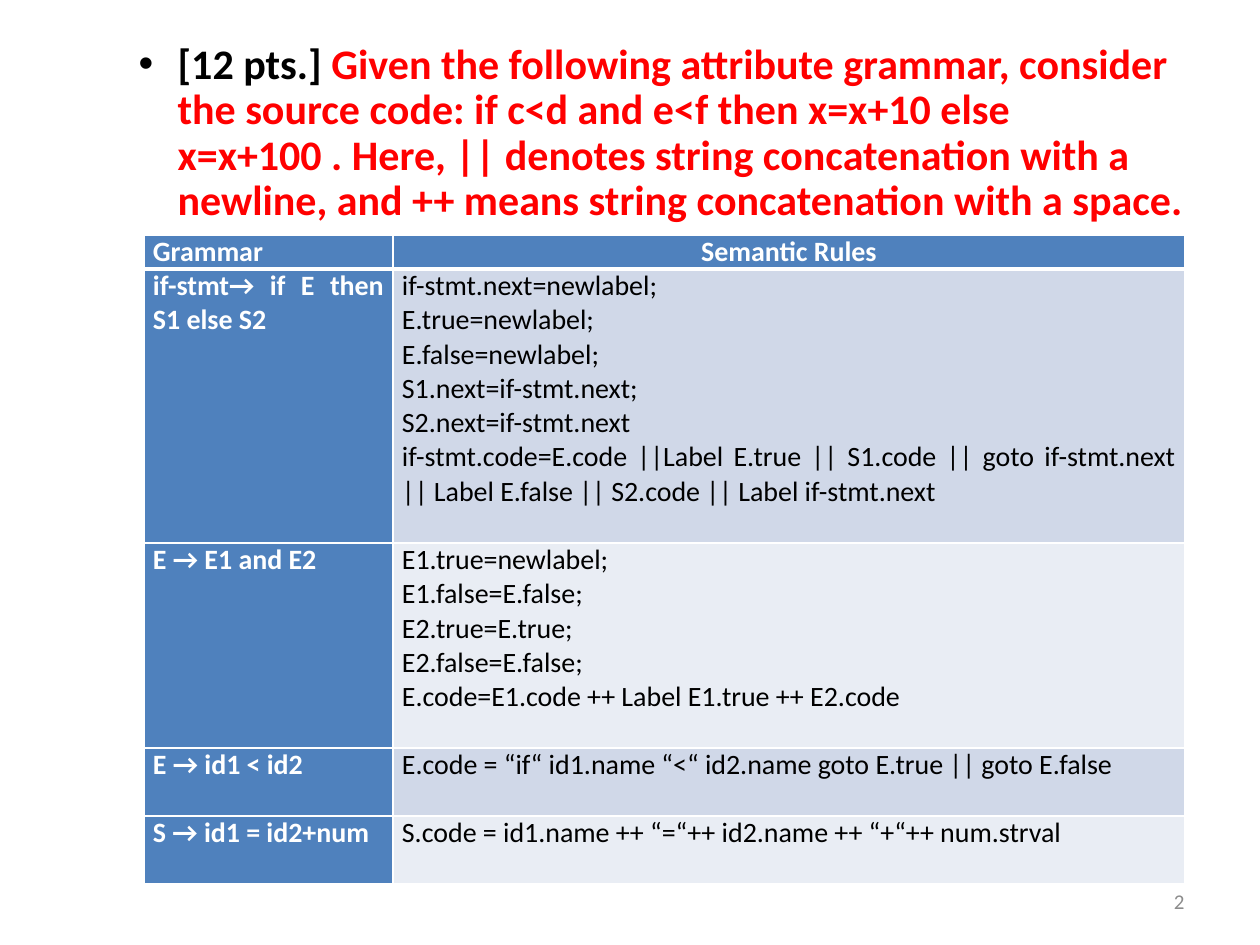
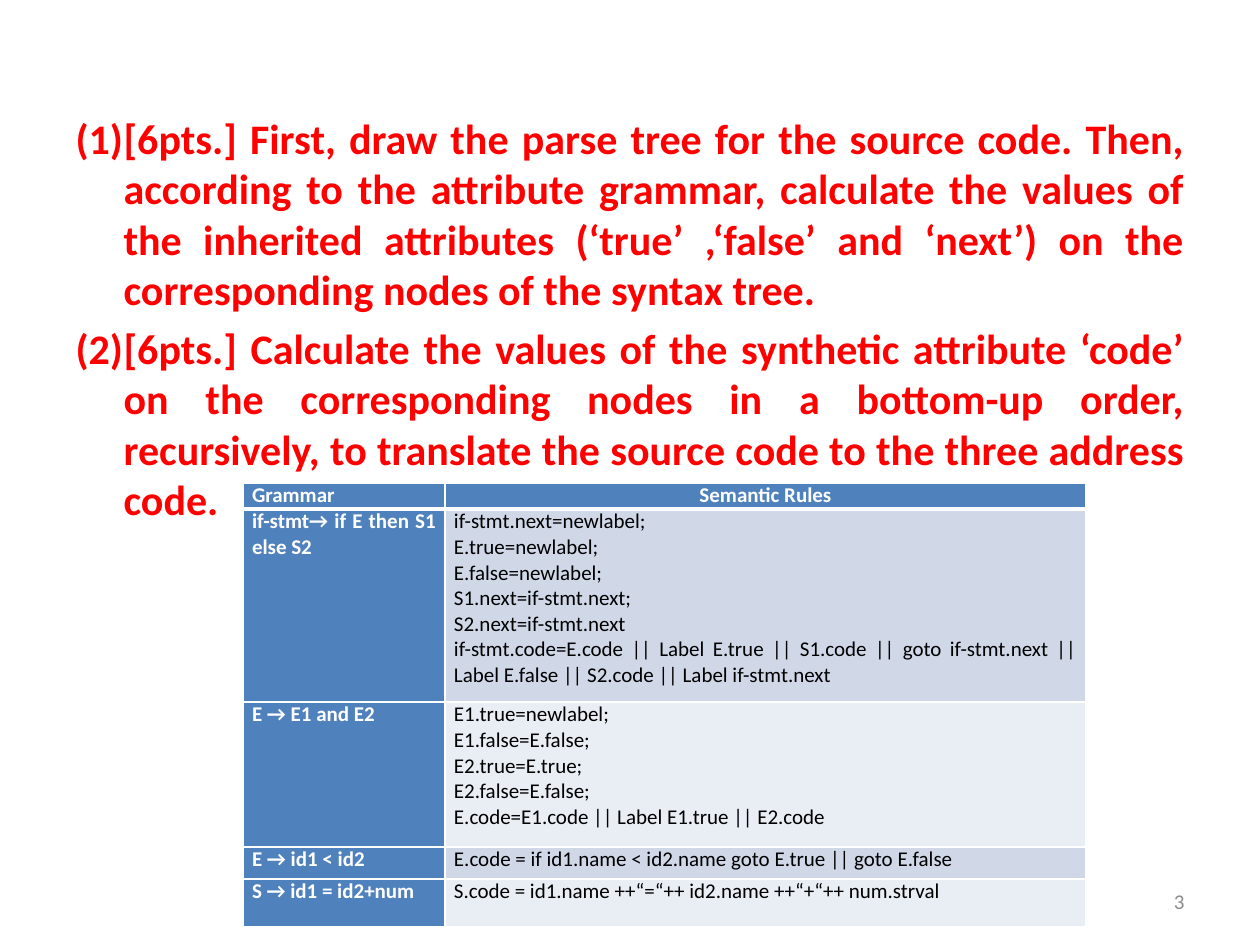
from lxml.etree import SubElement
from pptx import Presentation
from pptx.dml.color import RGBColor
from pptx.enum.text import MSO_ANCHOR, MSO_AUTO_SIZE, PP_ALIGN
from pptx.oxml.ns import qn
from pptx.util import Emu, Pt

# Shared style
FONT = "Calibri"
BLACK, WHITE, RED, GREY = "000000", "FFFFFF", "FF0000", "8C8C8C"
BLUE, BANDS = "4F81BD", ("D0D8E8", "E9EDF4")
LEFT, CENTER, RIGHT, JUSTIFY = (
    PP_ALIGN.LEFT, PP_ALIGN.CENTER, PP_ALIGN.RIGHT, PP_ALIGN.JUSTIFY)

# Wording shared by both grammar tables
HEADER = ("Grammar", "Semantic Rules")
PRODUCTIONS = ("if-stmt→ if E then S1 else S2", "E → E1 and E2",
               "E → id1 < id2", "S → id1 = id2+num")
IF_LABELS = ["if-stmt.next=newlabel;", "E.true=newlabel;",
             "E.false=newlabel;", "S1.next=if-stmt.next;",
             "S2.next=if-stmt.next"]
AND_LABELS = ["E1.true=newlabel;", "E1.false=E.false;",
              "E2.true=E.true;", "E2.false=E.false;"]
IF_TAIL = ("Label E.true || S1.code || goto if-stmt.next || "
           "Label E.false || S2.code || Label if-stmt.next")


def px(n):
    return Emu(round(n * 914400 / 126))


def rgb(color):
    return RGBColor.from_string(color)


def add_run(p, text, size=24, color=BLACK, bold=False, align=None):
    r = p.add_run()
    r.text = text
    r.font.name, r.font.size, r.font.bold = FONT, Pt(size), bold
    r.font.color.rgb = rgb(color)
    if align is not None:
        p.alignment = align
    return r


def set_bullet(p, indent, hang, tag, **attrs):
    pPr = p._p.get_or_add_pPr()
    pPr.set("marL", str(px(indent)))
    pPr.set("indent", str(-px(hang)))
    SubElement(pPr, qn("a:" + tag), **attrs)


def set_borders(cell, bottom=1, top=1):
    tcPr = cell._tc.get_or_add_tcPr()
    for side, width in (("L", 1), ("R", 1), ("T", top), ("B", bottom)):
        ln = SubElement(tcPr, qn("a:ln" + side), w=str(Pt(width)))
        fill = SubElement(ln, qn("a:solidFill"))
        SubElement(fill, qn("a:srgbClr"), val=WHITE)


class Deck:
    def __init__(self):
        self.prs = Presentation()
        self.prs.slide_width, self.prs.slide_height = px(1260), px(945)
        self.s = None

    def new_slide(self, number):
        self.s = self.prs.slides.add_slide(self.prs.slide_layouts[1])
        title = self.s.shapes.title
        title._element.getparent().remove(title._element)
        self.page_number(number)

    def page_number(self, number):
        sp = self.s.shapes.add_textbox(px(903), px(876), px(294), px(50))
        tf = sp.text_frame
        tf.word_wrap = True
        tf.vertical_anchor = MSO_ANCHOR.MIDDLE
        add_run(tf.paragraphs[0], str(number), size=12, color=GREY, align=RIGHT)

    def body(self, top, height):
        sp = self.s.placeholders[1]
        sp.left, sp.top, sp.width, sp.height = px(63), px(top), px(1134), px(height)
        tf = sp.text_frame
        tf.auto_size = MSO_AUTO_SIZE.NONE
        return tf

    def fill_cell(self, cell, lines, fill, **fmt):
        cell.margin_left = cell.margin_right = px(9)
        cell.margin_top = cell.margin_bottom = 0
        cell.fill.solid()
        cell.fill.fore_color.rgb = rgb(fill)
        tf = cell.text_frame
        for i, line in enumerate(lines):
            p = tf.add_paragraph() if i else tf.paragraphs[0]
            add_run(p, line, **fmt)

    def grammar_table(self, left, top, widths, heights, rules, size):
        table = self.s.shapes.add_table(
            len(heights), len(widths), px(left), px(top),
            px(sum(widths)), px(sum(heights))).table
        table.first_row = table.horz_banding = False
        for col, width in zip(table.columns, widths):
            col.width = px(width)
        for row, height in zip(table.rows, heights):
            row.height = px(height)
        for r, row in enumerate(table.rows):
            for cell in row.cells:
                set_borders(cell, bottom=1 if r else 3, top=3 if r == 1 else 1)
        # Header row
        for c, (text, align) in enumerate(zip(HEADER, (JUSTIFY, CENTER))):
            self.fill_cell(table.cell(0, c), [text], BLUE, size=size,
                           color=WHITE, bold=True, align=align)
        # One production and its rules per row
        for r, (production, lines) in enumerate(zip(PRODUCTIONS, rules), 1):
            self.fill_cell(table.cell(r, 0), [production], BLUE, size=size,
                           color=WHITE, bold=True, align=JUSTIFY)
            self.fill_cell(table.cell(r, 1), lines, BANDS[(r - 1) % 2],
                           size=size, align=JUSTIFY)


def question_slide(deck):
    deck.new_slide(2)
    p = deck.body(37, 808).paragraphs[0]
    p.level = 1
    p.line_spacing = 0.9
    set_bullet(p, 102, 39, "buChar", char="•")
    add_run(p, "[12 pts.] ", bold=True)
    add_run(p, "Given the following attribute grammar, consider the source "
            "code: if c<d and e<f then x=x+10 else x=x+100 . Here, || denotes "
            "string concatenation with a newline, and ++ means string "
            "concatenation with a space.", color=RED, bold=True)
    rules = [
        IF_LABELS + ["if-stmt.code=E.code ||" + IF_TAIL],
        AND_LABELS + ["E.code=E1.code ++ Label E1.true ++ E2.code"],
        ["E.code = “if“ id1.name “<“ id2.name goto E.true || goto E.false"],
        ["S.code = id1.name ++ “=“++ id2.name ++ “+“++ num.strval"],
    ]
    deck.grammar_table(144, 235, (249, 792), (34, 274, 205, 68, 68), rules, 16)


def tasks_slide(deck):
    deck.new_slide(3)
    tf = deck.body(106, 738)
    tasks = (
        "[6pts.] First, draw the parse tree for the source code. Then, "
        "according to the attribute grammar, calculate the values of the "
        "inherited attributes (‘true’ ,‘false’ and ‘next’) on the "
        "corresponding nodes of the syntax tree.",
        "[6pts.] Calculate the values of the synthetic attribute ‘code’ on "
        "the corresponding nodes in a bottom-up order, recursively, to "
        "translate the source code to the three address code.",
    )
    for i, task in enumerate(tasks):
        p = tf.add_paragraph() if i else tf.paragraphs[0]
        set_bullet(p, 48, 48, "buAutoNum", type="arabicParenBoth")
        add_run(p, task, color=RED, bold=True, align=JUSTIFY)
    rules = [
        IF_LABELS + ["if-stmt.code=E.code || " + IF_TAIL],
        AND_LABELS + ["E.code=E1.code || Label E1.true || E2.code"],
        ["E.code = if id1.name < id2.name goto E.true || goto E.false"],
        ["S.code = id1.name ++“=“++ id2.name ++“+“++ num.strval"],
    ]
    deck.grammar_table(243, 483, (202, 641), (26, 193, 145, 32, 48), rules, 12)


def main():
    deck = Deck()
    question_slide(deck)
    tasks_slide(deck)
    deck.prs.save("out.pptx")


if __name__ == "__main__":
    main()
